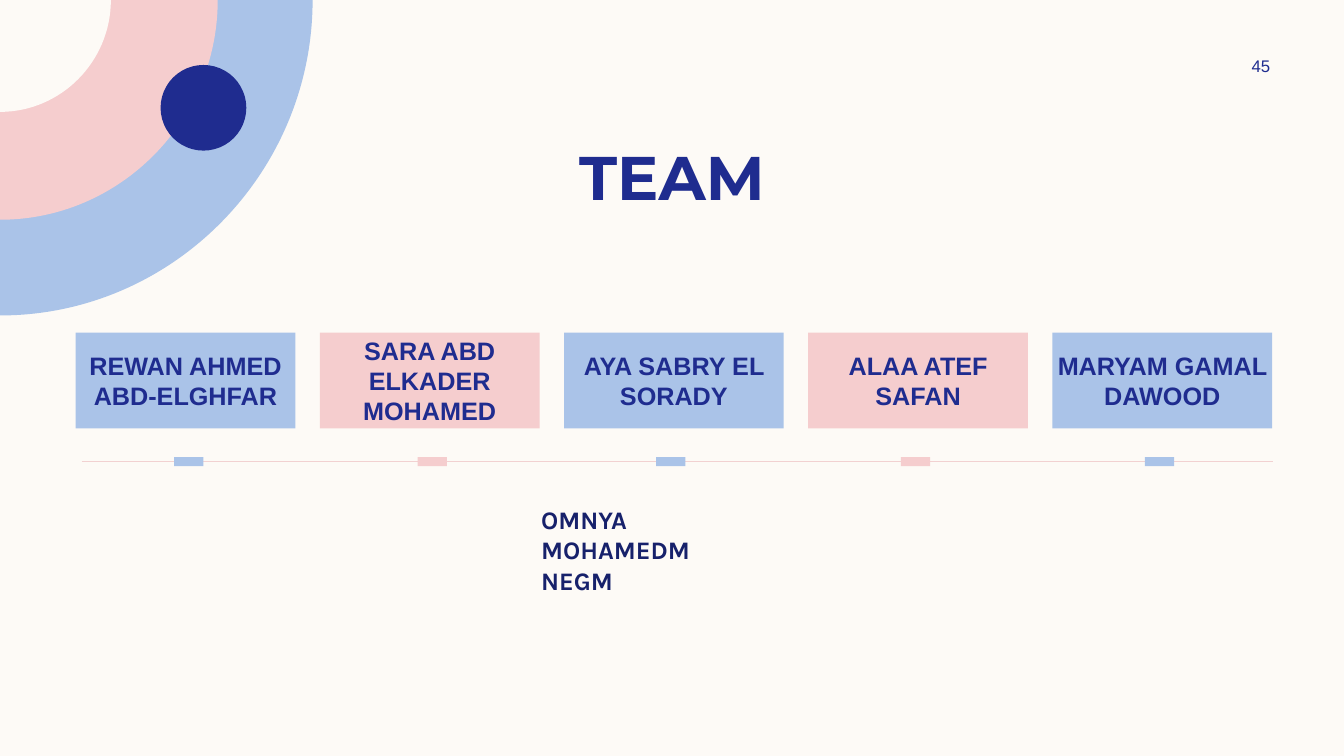
from dataclasses import dataclass

from lxml import etree
from pptx import Presentation
from pptx.dml.color import RGBColor
from pptx.enum.shapes import MSO_CONNECTOR, MSO_SHAPE
from pptx.enum.text import MSO_ANCHOR, PP_ALIGN
from pptx.oxml.ns import qn
from pptx.shapes.autoshape import Shape
from pptx.slide import Slide
from pptx.util import Inches, Pt

RECTANGLE = MSO_SHAPE.RECTANGLE
OVAL = MSO_SHAPE.OVAL
STRAIGHT = MSO_CONNECTOR.STRAIGHT
TOP, MIDDLE = MSO_ANCHOR.TOP, MSO_ANCHOR.MIDDLE
LEFT, CENTER = PP_ALIGN.LEFT, PP_ALIGN.CENTER

CREAM = RGBColor(0xFD, 0xFA, 0xF6)
BLUE = RGBColor(0xAA, 0xC3, 0xE8)
PINK = RGBColor(0xF5, 0xCD, 0xCE)
LINE_PINK = RGBColor(0xF2, 0xD1, 0xD1)
NAVY = RGBColor(0x1F, 0x2C, 0x8F)
DARK_NAVY = RGBColor(0x17, 0x21, 0x6B)

SLIDE_WIDTH, SLIDE_HEIGHT = Inches(13.33), Inches(7.5)
GRID_COLUMNS = GRID_ROWS = 100
ARC_HANDLE = 0.55
CARD_LEFT, CARD_PITCH = 5.63, 18.17
TICK_WIDTH, TICK_HEIGHT = 2.18, 1.2
TIMELINE_ROW = 61.07


@dataclass(frozen=True)
class Area:
    column: float
    row: float
    columns: float
    rows: float

    def box(self) -> tuple[int, int, int, int]:
        return (across(self.column), down(self.row),
                across(self.columns), down(self.rows))


@dataclass(frozen=True)
class Style:
    size: float
    font: str
    color: RGBColor
    bold: bool = True
    align: PP_ALIGN = CENTER
    anchor: MSO_ANCHOR = MIDDLE


@dataclass(frozen=True)
class Ring:
    columns: float
    rows: float
    color: RGBColor


@dataclass(frozen=True)
class Member:
    name: str
    color: RGBColor
    tick_center: float


@dataclass(frozen=True)
class Label:
    text: str
    area: Area
    style: Style


RINGS = (
    Ring(23.26, 41.73, BLUE),
    Ring(16.2, 29.07, PINK),
    Ring(8.25, 14.8, CREAM),
)
MEMBERS = (
    Member("REWAN AHMED ABD-ELGHFAR", BLUE, 14.04),
    Member("SARA ABD ELKADER MOHAMED", PINK, 32.17),
    Member("AYA SABRY EL SORADY", BLUE, 49.92),
    Member("ALAA ATEF SAFAN", PINK, 68.12),
    Member("MARYAM GAMAL DAWOOD", BLUE, 86.27),
)
LABELS = (
    Label("TEAM", Area(6.25, 17.6, 87.5, 11.2), Style(44, "Montserrat", NAVY)),
    Label("45", Area(89.77, 6.67, 8.1, 4), Style(12, "Arial", NAVY, bold=False)),
    Label("OMNYA MOHAMEDMNEGM", Area(39.52, 66.07, 13.5, 13.47),
          Style(18, "Karla", DARK_NAVY, align=LEFT, anchor=TOP)),
)
CARD_STYLE = Style(18, "Arial", NAVY)


def across(columns: float) -> int:
    return round(SLIDE_WIDTH * columns / GRID_COLUMNS)


def down(rows: float) -> int:
    return round(SLIDE_HEIGHT * rows / GRID_ROWS)


def paint(shape: Shape, color: RGBColor) -> None:
    shape.shadow.inherit = False
    shape.fill.solid()
    shape.fill.fore_color.rgb = color
    shape.line.fill.background()


def write(shape: Shape, text: str, style: Style) -> None:
    frame = shape.text_frame
    frame.word_wrap = True
    frame.vertical_anchor = style.anchor
    paragraph = frame.paragraphs[0]
    paragraph.text = text
    paragraph.alignment = style.align
    paragraph.font.name = style.font
    paragraph.font.size = Pt(style.size)
    paragraph.font.bold = style.bold
    paragraph.font.color.rgb = style.color


def add_filled(slide: Slide, kind: MSO_SHAPE, area: Area, color: RGBColor) -> Shape:
    shape = slide.shapes.add_shape(kind, *area.box())
    paint(shape, color)
    return shape


def add_ring(slide: Slide, ring: Ring) -> None:
    width, height = across(ring.columns), down(ring.rows)
    builder = slide.shapes.build_freeform(0, 0)
    builder.add_line_segments([(width, 0), (0, height)], close=True)
    shape = builder.convert_to_shape()
    paint(shape, ring.color)
    chord = shape._element.findall(".//" + qn("a:lnTo"))[1]
    curve = etree.Element(qn("a:cubicBezTo"))
    for x, y in ((width, height * ARC_HANDLE), (width * ARC_HANDLE, height), (0, height)):
        etree.SubElement(curve, qn("a:pt"), x=str(round(x)), y=str(round(y)))
    chord.getparent().replace(chord, curve)


def add_timeline(slide: Slide) -> None:
    row = down(TIMELINE_ROW)
    connector = slide.shapes.add_connector(STRAIGHT, across(6.08), row, across(94.75), row)
    connector.line.color.rgb = LINE_PINK
    connector.line.width = Pt(1)
    etree.SubElement(connector._element.spPr, qn("a:effectLst"))


def add_card(slide: Slide, index: int, member: Member) -> None:
    area = Area(CARD_LEFT + index * CARD_PITCH, 44, 16.35, 12.67)
    card = add_filled(slide, RECTANGLE, area, member.color)
    frame = card.text_frame
    frame.margin_left = frame.margin_right = 0
    frame.margin_top = frame.margin_bottom = 0
    write(card, member.name, CARD_STYLE)


def add_tick(slide: Slide, member: Member) -> None:
    area = Area(member.tick_center - TICK_WIDTH / 2, TIMELINE_ROW - TICK_HEIGHT / 2,
                TICK_WIDTH, TICK_HEIGHT)
    add_filled(slide, RECTANGLE, area, member.color)


def add_label(slide: Slide, label: Label) -> None:
    write(slide.shapes.add_textbox(*label.area.box()), label.text, label.style)


def main() -> None:
    presentation = Presentation()
    presentation.slide_width, presentation.slide_height = SLIDE_WIDTH, SLIDE_HEIGHT
    slide = presentation.slides.add_slide(presentation.slide_layouts[6])
    slide.background.fill.solid()
    slide.background.fill.fore_color.rgb = CREAM

    for ring in RINGS:
        add_ring(slide, ring)
    add_filled(slide, OVAL, Area(11.95, 8.6, 6.38, 11.33), NAVY)
    add_timeline(slide)
    for index, member in enumerate(MEMBERS):
        add_card(slide, index, member)
    for member in MEMBERS:
        add_tick(slide, member)
    for label in LABELS:
        add_label(slide, label)
    presentation.save("out.pptx")


if __name__ == "__main__":
    main()
